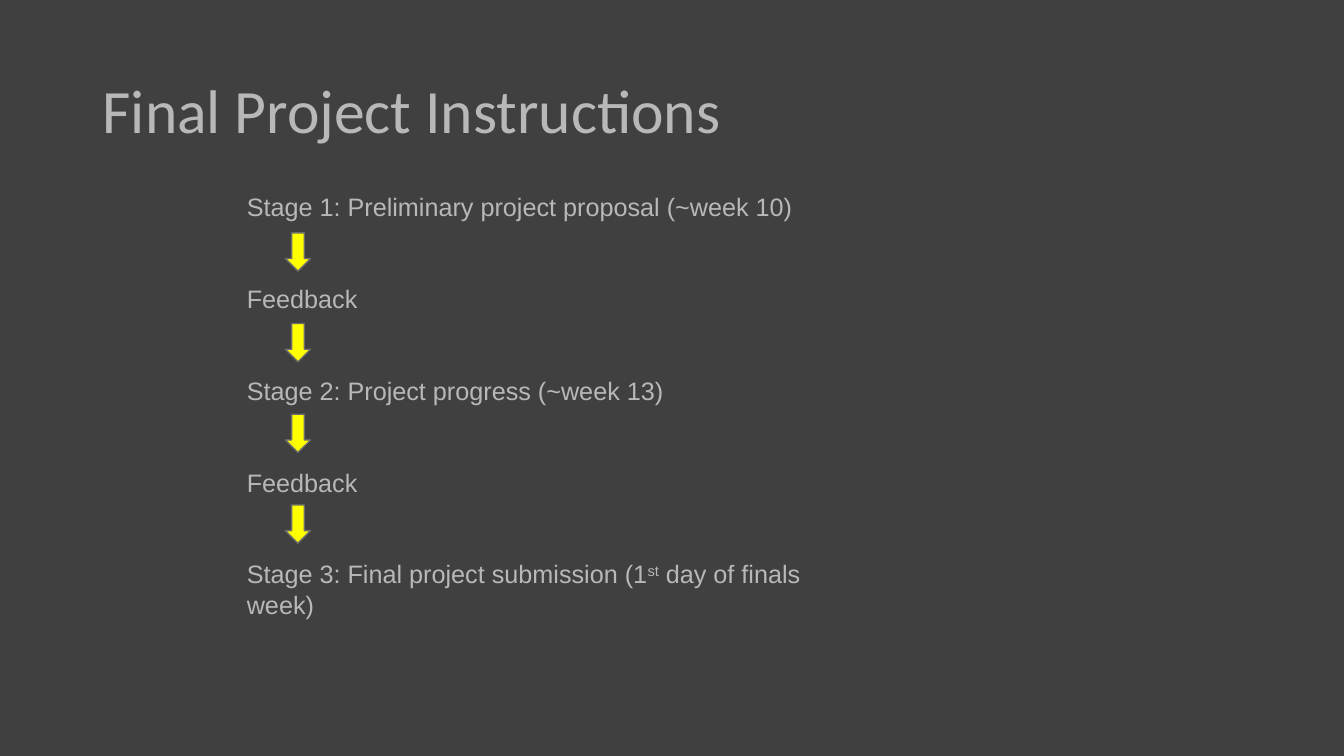
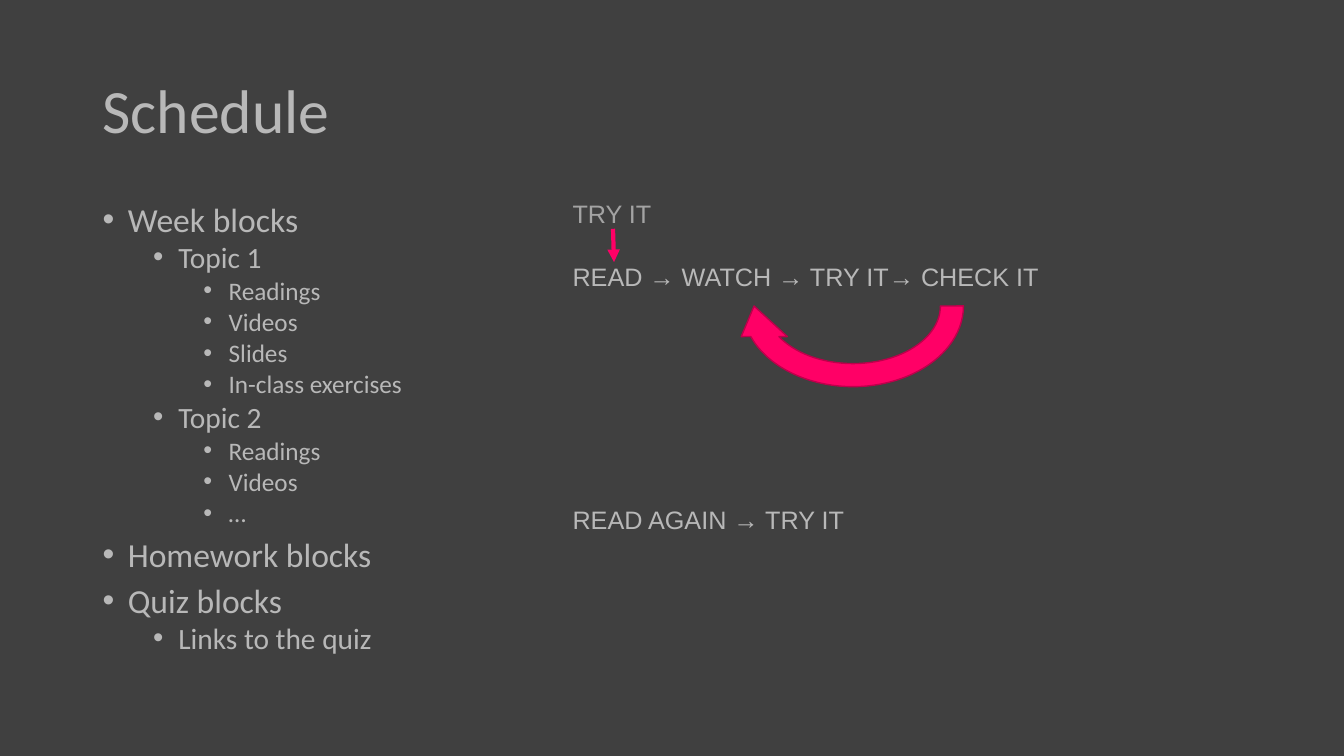
from lxml.etree import SubElement
from pptx import Presentation
from pptx.dml.color import RGBColor
from pptx.enum.shapes import MSO_CONNECTOR, MSO_SHAPE
from pptx.enum.text import MSO_ANCHOR
from pptx.oxml.ns import qn
from pptx.util import Inches, Pt

BACK, TEXT, DIM = "404040", "B8B8B8", "A3A3A3"
YELLOW, GREY, PINK, DARK_PINK = "FFFF00", "6C6C6C", "FF0066", "BD004B"
HEAD_FONT, NOTE_FONT = "Calibri", "Arial"
TITLE_BOX = (0.92, 0.4, 11.5, 1.45)
LEVELS = [(24, 10), (21, 5), (18, 5)]

STAGES = [
    ["Stage 1: Preliminary project proposal (~week 10)"],
    ["Feedback"],
    ["Stage 2: Project progress (~week 13)"],
    ["Feedback"],
    ["Stage 3: Final project submission (1", "st", " day of finals week)"],
]
OUTLINE = [
    (0, "Week blocks"),
    (1, "Topic 1"),
    (2, "Readings"),
    (2, "Videos"),
    (2, "Slides"),
    (2, "In-class exercises"),
    (1, "Topic 2"),
    (2, "Readings"),
    (2, "Videos"),
    (2, "…"),
    (0, "Homework blocks"),
    (0, "Quiz blocks"),
    (1, "Links to the quiz"),
]


def rgb(color):
    return RGBColor.from_string(color)


def add_frame(s, box, anchor=MSO_ANCHOR.TOP, wrap=True):
    tf = s.shapes.add_textbox(*map(Inches, box)).text_frame
    tf.word_wrap = wrap
    tf.vertical_anchor = anchor
    return tf


def add_run(p, text, size=18, font=NOTE_FONT, color=TEXT, raised=False):
    r = p.add_run()
    r.text = text
    r.font.size = Pt(size)
    r.font.name = font
    r.font.color.rgb = rgb(color)
    if raised:
        r.font._element.set("baseline", "30000")


def next_paragraph(tf, i, before=0, spacing=None):
    p = tf.add_paragraph() if i else tf.paragraphs[0]
    p.space_before = Pt(before)
    if spacing:
        p.line_spacing = spacing
    return p


def add_bullet(p, level):
    p.level = level
    pPr = p._p.get_or_add_pPr()
    pPr.set("marL", str(Inches(0.25 + 0.5 * level)))
    pPr.set("indent", str(Inches(-0.25)))
    SubElement(pPr, qn("a:buFont"), typeface="Arial")
    SubElement(pPr, qn("a:buChar"), char="•")


def add_block(s, kind, box, fill, line):
    sp = s.shapes.add_shape(kind, *map(Inches, box))
    sp.shadow.inherit = False
    sp.fill.solid()
    sp.fill.fore_color.rgb = rgb(fill)
    sp.line.color.rgb = rgb(line)
    sp.line.width = Pt(1)
    return sp


def add_arrow(s, start, end, color, width):
    sp = s.shapes.add_connector(MSO_CONNECTOR.STRAIGHT, *map(Inches, start + end))
    sp.line.color.rgb = rgb(color)
    sp.line.width = Pt(width)
    SubElement(sp.line._get_or_add_ln(), qn("a:tailEnd"), type="triangle")
    SubElement(sp._element.spPr, qn("a:effectLst"))


def add_slide(prs, title):
    s = prs.slides.add_slide(prs.slide_layouts[6])
    p = next_paragraph(add_frame(s, TITLE_BOX, MSO_ANCHOR.MIDDLE), 0, spacing=0.9)
    add_run(p, title, size=44, font=HEAD_FONT)
    return s


def add_stages(s, box):
    x, y, _, _ = box
    tf = add_frame(s, box)
    for i, parts in enumerate(STAGES):
        p = next_paragraph(tf, i, before=44)
        for text in parts:
            add_run(p, text, raised=text == "st")
    for i in range(len(STAGES) - 1):
        arrow = (x + 0.48, y + 0.46 + 0.9 * i, 0.25, 0.38)
        add_block(s, MSO_SHAPE.DOWN_ARROW, arrow, YELLOW, GREY)


def add_outline(s, box):
    tf = add_frame(s, box)
    for i, (level, text) in enumerate(OUTLINE):
        size, before = LEVELS[level]
        p = next_paragraph(tf, i, before, 0.8)
        add_bullet(p, level)
        add_run(p, text, size=size, font=HEAD_FONT)


def add_cycle(s, box):
    x, y, w, h = box
    tf = add_frame(s, (x, y + 0.62, w, h - 0.62))
    add_run(next_paragraph(tf, 0), "READ → WATCH → TRY IT→ CHECK IT")
    add_run(next_paragraph(tf, 1, before=152), "READ AGAIN → TRY IT")
    first = add_frame(s, (x, y, 0.99, 0.4), wrap=False)
    add_run(next_paragraph(first, 0), "TRY IT", color=DIM)
    add_arrow(s, (x + 0.5, y + 0.35), (x + 0.51, y + 0.68), PINK, 3)
    loop = (x + 1.67, y + 0.2, 2.42, 1.83)
    add_block(s, MSO_SHAPE.CIRCULAR_ARROW, loop, PINK, DARK_PINK).rotation = 180


def main():
    prs = Presentation()
    prs.slide_width, prs.slide_height = Inches(13.33), Inches(7.5)
    back = prs.slide_master.background.fill
    back.solid()
    back.fore_color.rgb = rgb(BACK)

    add_stages(add_slide(prs, "Final Project Instructions"), (2.35, 1.85, 5.9, 4.34))

    s = add_slide(prs, "Schedule")
    add_outline(s, (0.92, 2, 11.5, 4.76))
    add_cycle(s, (5.58, 1.92, 5.25, 3.45))

    prs.save("out.pptx")


if __name__ == "__main__":
    main()
